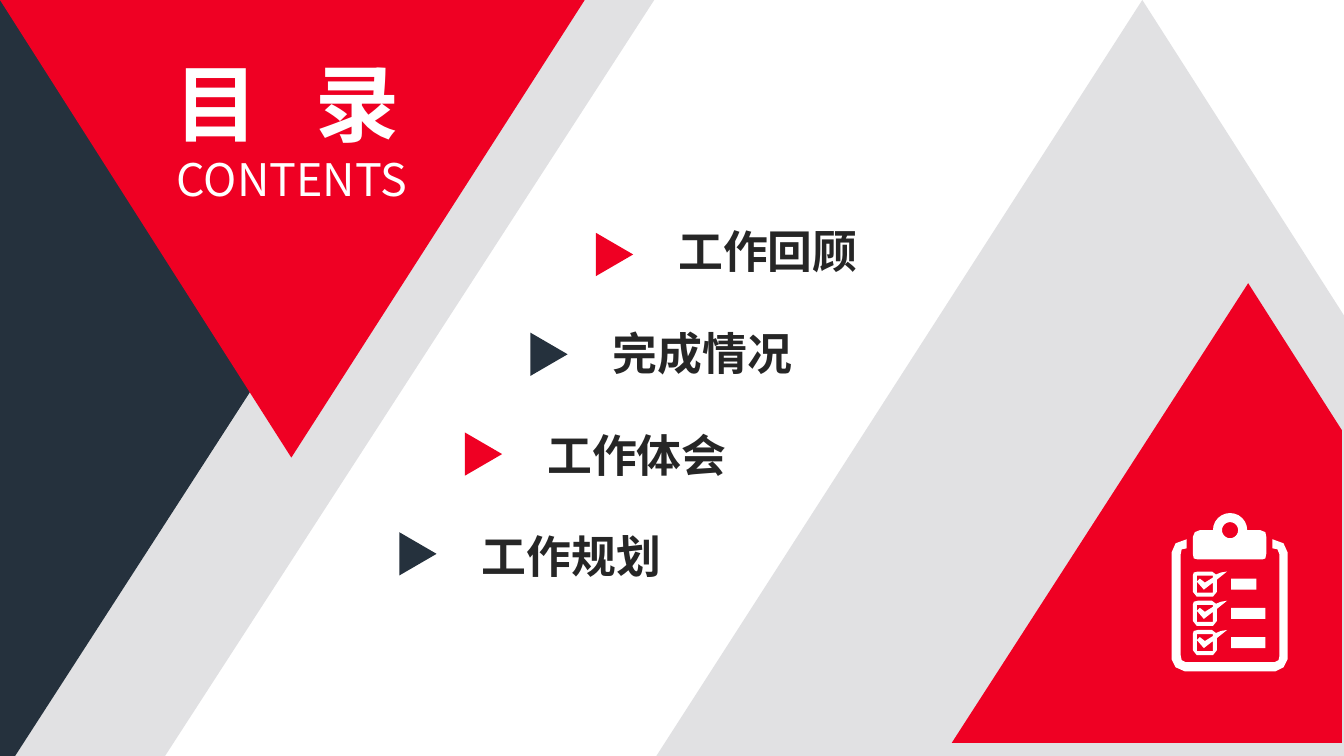
import math

import pptx
import pptx.dml.color
import pptx.enum.shapes
import pptx.enum.text
import pptx.oxml
import pptx.oxml.ns
import pptx.util

Inches = pptx.util.Inches
SHAPE = pptx.enum.shapes.MSO_SHAPE
RED, NAVY, GREY, WHITE, INK = "EF0023", "25313D", "E1E1E3", "FFFFFF", "262626"


def paint(sp, color):
    sp.fill.solid()
    sp.fill.fore_color.rgb = pptx.dml.color.RGBColor.from_string(color)
    sp.line.fill.background()
    sp.shadow.inherit = False


def write(p, text, size, color, font, bold=False, spacing=0):
    """Add a run; spacing is extra character spacing in points."""
    r = p.add_run()
    r.text = text
    r.font.size = pptx.util.Pt(size)
    r.font.bold = bold
    r.font.name = font
    r.font.color.rgb = pptx.dml.color.RGBColor.from_string(color)
    rPr = r.font._element
    ea = pptx.oxml.parse_xml(f'<a:ea {pptx.oxml.ns.nsdecls("a")} typeface="{font}"/>')
    rPr.find(pptx.oxml.ns.qn("a:latin")).addnext(ea)
    if spacing:
        rPr.set("spc", str(spacing * 100))


prs = pptx.Presentation()
prs.slide_width, prs.slide_height = Inches(13.33), Inches(7.5)
s = prs.slides.add_slide(prs.slide_layouts[5])

# Diagonal band behind the triangles
sp = s.shapes.add_shape(SHAPE.RECTANGLE, Inches(2.71), Inches(-1.67), Inches(1.25), Inches(10.79))
sp.rotation = 32.9
paint(sp, GREY)

# Clipboard icon: frame, clip, clip hole, check boxes and text bars
frame = [(11.77, 5.35), (11.66, 5.39), (11.62, 5.48), (11.62, 6.54), (11.66, 6.62), (11.75, 6.66),
         (12.65, 6.66), (12.73, 6.62), (12.77, 6.54), (12.77, 5.48), (12.73, 5.39), (12.62, 5.35),
         (12.62, 5.44), (12.67, 5.45), (12.69, 5.5), (12.69, 6.51), (12.68, 6.55), (12.64, 6.57),
         (11.76, 6.57), (11.72, 6.55), (11.71, 6.5), (11.71, 5.5), (11.72, 5.45), (11.77, 5.44)]
turn = [math.radians(a) for a in range(0, 360, 15)]
clip = [(12.2 + 0.17 * math.cos(a), 5.26 + 0.17 * math.sin(a)) for a in turn[12:] + [0]]
clip += [(12.5, 5.26), (12.55, 5.28), (12.56, 5.33), (12.56, 5.49), (12.55, 5.54), (12.52, 5.55),
         (11.88, 5.55), (11.84, 5.54), (11.83, 5.49), (11.83, 5.33), (11.85, 5.28), (11.9, 5.26)]
clip_hole = [(12.2 + 0.08 * math.cos(a), 5.26 + 0.08 * math.sin(a)) for a in turn]
clipboard = [frame, clip, clip_hole]
box = [(11.83, 0.04), (11.84, 0.01), (11.88, 0), (12.02, 0), (12.06, 0.03), (12.11, 0.01),
       (12.17, 0), (12.07, 0.08), (12.07, 0.2), (12.03, 0.25), (11.87, 0.25), (11.83, 0.2)]
tick = [(11.87, 0.04), (12.03, 0.04), (12.03, 0.06), (11.95, 0.11), (11.9, 0.07), (11.87, 0.1),
        (11.94, 0.18), (12.03, 0.11), (12.03, 0.21), (11.87, 0.21)]
for top, bar_right in [(5.67, 12.46), (5.96, 12.55), (6.25, 12.55)]:
    bar = [(12.21, 0.07), (bar_right, 0.07), (bar_right, 0.18), (12.21, 0.18)]
    clipboard += [[(x, top + y) for x, y in part] for part in (box, tick, bar)]

outlines = [
    (GREY, [[(11.33, 0), (6.51, 7.5), (13.33, 7.5), (13.33, 3.13)]]),
    (NAVY, [[(4.99, 0), (0, 0), (0, 7.5), (0.15, 7.5)]]),
    (RED, [[(0, 0), (2.89, 4.54), (5.8, 0)]]),
    (RED, [[(13.31, 4.27), (12.38, 2.81), (9.44, 7.37), (13.31, 7.37)]]),
    (WHITE, clipboard),
]
for color, contours in outlines:
    contours = [[(Inches(x), Inches(y)) for x, y in points] for points in contours]
    builder = s.shapes.build_freeform(*contours[0][0])
    for points in contours:
        builder.move_to(*points[0])
        builder.add_line_segments(points[1:], close=True)
    paint(builder.convert_to_shape(), color)

# Title, brought in front of the red triangle
title = s.shapes.title
s.shapes._spTree.append(title._element)
title.left, title.top, title.width, title.height = map(Inches, (0.99, 0.51, 3.71, 1.49))
tf = title.text_frame
tf.margin_left = tf.margin_top = tf.margin_right = tf.margin_bottom = 0
tf.word_wrap = True
tf.auto_size = pptx.enum.text.MSO_AUTO_SIZE.NONE
tf.vertical_anchor = pptx.enum.text.MSO_ANCHOR.TOP
heading, subheading = tf.paragraphs[0], tf.add_paragraph()
for p in (heading, subheading):
    p.alignment = pptx.enum.text.PP_ALIGN.CENTER
    p.space_before = pptx.util.Pt(0)
subheading._p.get_or_add_pPr().set("marL", str(Inches(0.1)))
write(heading, "目", 60, WHITE, "Noto Sans CJK SC", bold=True)
write(heading, " ", 60, WHITE, "Noto Sans CJK SC", bold=True, spacing=27)
write(heading, "录", 60, WHITE, "Noto Sans CJK SC", bold=True)
write(subheading, "CONTENTS", 32, WHITE, "Noto Sans CJK SC")

# Agenda items stepping down to the left
for i, item in enumerate(["工作回顾", "完成情况", "工作体会", "工作规划"]):
    shift = 0.65 * i
    sp = s.shapes.add_shape(SHAPE.ISOSCELES_TRIANGLE, Inches(5.88 - shift),
                            Inches(2.34 + 0.99 * i), Inches(0.43), Inches(0.37))
    sp.rotation = 90
    paint(sp, NAVY if i % 2 else RED)
    tb = s.shapes.add_textbox(Inches(6.63 - shift), Inches(2.17 + 1.01 * i), Inches(2), Inches(0.64))
    tb.text_frame.word_wrap = False
    tb.text_frame.auto_size = pptx.enum.text.MSO_AUTO_SIZE.SHAPE_TO_FIT_TEXT
    write(tb.text_frame.paragraphs[0], item, 32, INK, "Noto Sans CJK JP", bold=True)

prs.save("out.pptx")
